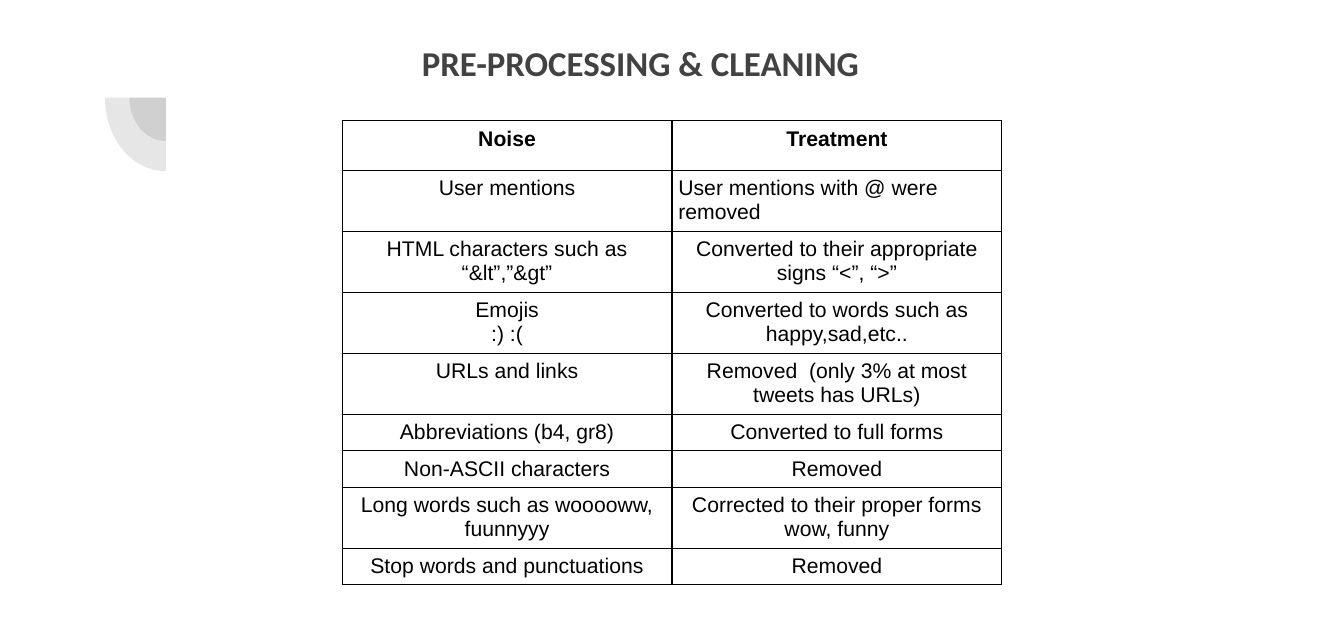
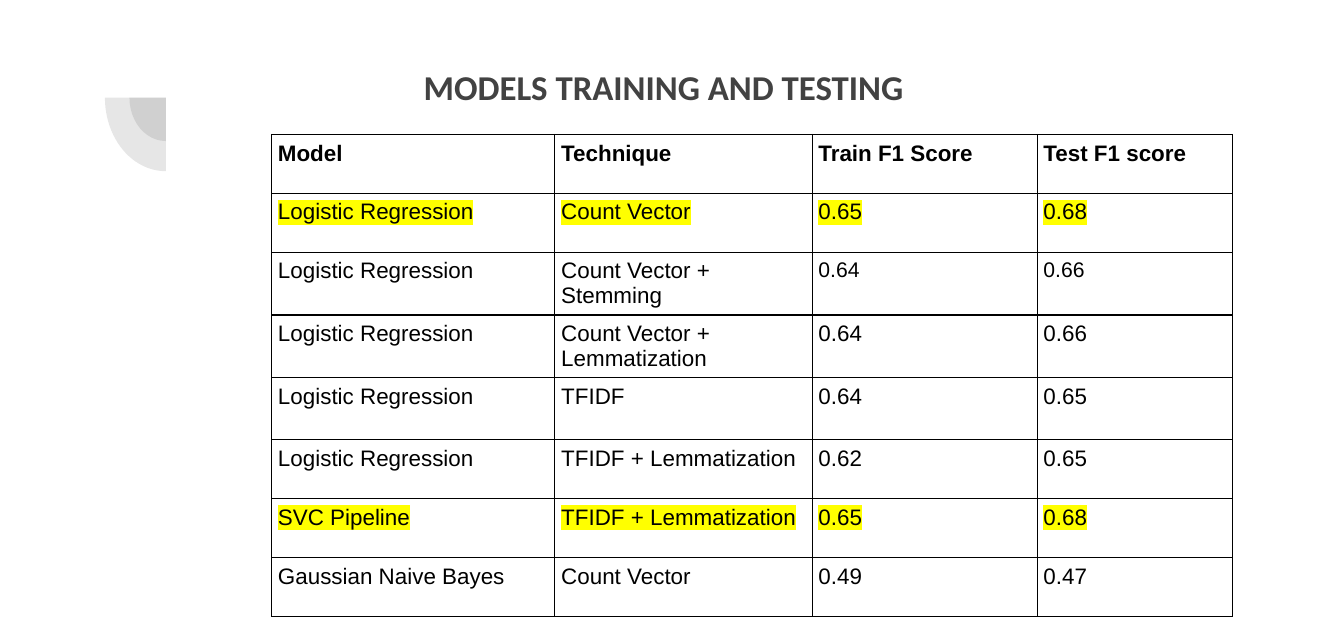
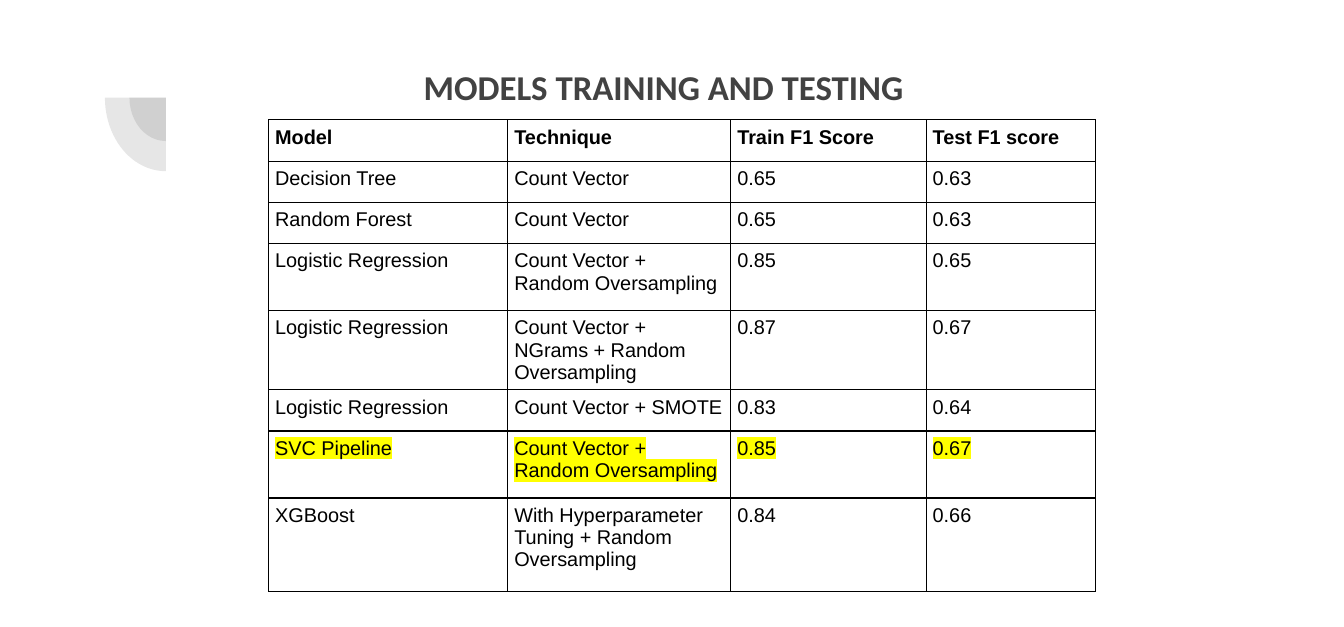
"""Build three slides on tweet cleaning and model scores."""
from lxml.etree import SubElement
from pptx import Presentation
from pptx.dml.color import RGBColor
from pptx.enum.shapes import MSO_SHAPE as Preset
from pptx.enum.text import MSO_ANCHOR as Anchor, MSO_AUTO_SIZE as AutoSize, PP_ALIGN as Align
from pptx.oxml.ns import qn
from pptx.util import Cm, Pt

GREY = RGBColor(0x42, 0x42, 0x42)
BLACK = RGBColor(0x00, 0x00, 0x00)
YELLOW = RGBColor(0xFF, 0xFF, 0x00)
INSET = Cm(0.18)
TITLE_FRAME = {
    "word_wrap": True, "auto_size": AutoSize.NONE, "vertical_anchor": Anchor.TOP,
    "margin_left": Cm(0.25), "margin_right": Cm(0.25),
    "margin_top": Cm(0.25), "margin_bottom": Cm(0.25),
}
TITLE_FONT = {"name": "Calibri", "size": Pt(28), "bold": True}
CELL_FORMAT = {
    "margin_left": INSET, "margin_right": INSET, "margin_top": INSET,
    "margin_bottom": INSET, "vertical_anchor": Anchor.TOP,
}
TABLE_FORMAT = {"first_row": False, "horz_banding": False}
SCORE_HEADER = ("Model", "Technique", "Train F1 Score", "Test F1 score")
SCORE_TITLE = ("MODELS TRAINING AND TESTING", (11.76, 1.6, 16.18, 1.8))

PAGES = [
    {
        "title": ("PRE-PROCESSING & CLEANING", (11.71, 0.94, 15.29, 2.06)),
        "corner": (9.7, 3.43),
        "columns": (9.35, 9.35),
        "heights": (1.4, 1.73, 1.73, 1.73, 1.73, 1.02, 1.02, 1.73, 1.02),
        "size": 17,
        "align": Align.CENTER,
        "left_cells": {(1, 1)},
        "rows": [
            ("Noise", "Treatment"),
            ("User mentions", "User mentions with @ were removed"),
            ("HTML characters such as “&lt”,”&gt”",
             "Converted to their appropriate signs “<”, “>”"),
            ("Emojis\n:) :(", "Converted to words such as happy,sad,etc.."),
            ("URLs and links", "Removed  (only 3% at most tweets has URLs)"),
            ("Abbreviations (b4, gr8)", "Converted to full forms"),
            ("Non-ASCII characters", "Removed"),
            ("Long words such as wooooww, fuunnyyy",
             "Corrected to their proper forms\nwow, funny"),
            ("Stop words and punctuations", "Removed"),
        ],
    },
    {
        "title": SCORE_TITLE,
        "corner": (7.7, 3.81),
        "columns": (8.03, 7.29, 6.38, 5.54),
        "heights": (1.67, 1.67, 1.67, 1.67, 1.75, 1.67, 1.67, 1.67),
        "size": 18,
        "small_cells": {(2, 2), (2, 3)},
        "marked_rows": {1, 6},
        "rows": [
            SCORE_HEADER,
            ("Logistic Regression", "Count Vector", "0.65", "0.68"),
            ("Logistic Regression", "Count Vector + Stemming", "0.64", "0.66"),
            ("Logistic Regression", "Count Vector + Lemmatization", "0.64", "0.66"),
            ("Logistic Regression", "TFIDF", "0.64", "0.65"),
            ("Logistic Regression", "TFIDF + Lemmatization", "0.62", "0.65"),
            ("SVC Pipeline", "TFIDF + Lemmatization", "0.65", "0.68"),
            ("Gaussian Naive Bayes", "Count Vector", "0.49", "0.47"),
        ],
    },
    {
        "title": SCORE_TITLE,
        "corner": (7.62, 3.4),
        "columns": (6.78, 6.32, 5.54, 4.8),
        "heights": (1.17, 1.17, 1.17, 1.9, 1.9, 1.17, 1.9, 2.64),
        "size": 16,
        "marked_rows": {6},
        "rows": [
            SCORE_HEADER,
            ("Decision Tree", "Count Vector", "0.65", "0.63"),
            ("Random Forest", "Count Vector", "0.65", "0.63"),
            ("Logistic Regression", "Count Vector + Random Oversampling", "0.85", "0.65"),
            ("Logistic Regression", "Count Vector + NGrams + Random Oversampling",
             "0.87", "0.67"),
            ("Logistic Regression", "Count Vector + SMOTE", "0.83", "0.64"),
            ("SVC Pipeline", "Count Vector + Random Oversampling", "0.85", "0.67"),
            ("XGBoost", "With Hyperparameter Tuning + Random Oversampling",
             "0.84", "0.66"),
        ],
    },
]


def apply(target, values):
    for name, value in values.items():
        setattr(target, name, value)


def add_fill(parent, color):
    fill = SubElement(parent, qn("a:solidFill"))
    return SubElement(fill, qn("a:srgbClr"), val=str(color))


deck = Presentation()
apply(deck, {"slide_width": Cm(38.1), "slide_height": Cm(17.78)})
layout = deck.slide_layouts[5]
for holder in list(layout.placeholders)[1:]:
    layout.shapes.element.remove(holder.element)

pages = [deck.slides.add_slide(layout) for _ in PAGES]

pies = []
for width, height in ((2.06, 2.46), (3.45, 4.17)):
    pie = pages[0].shapes.add_shape(
        Preset.PIE, Cm(4.7 - width / 2), Cm(2.77 - height / 2), Cm(width), Cm(height))
    pie.adjustments[0], pie.adjustments[1] = 54, 108
    pie.shadow.inherit = False
    pie.line.fill.background()
    pie.fill.solid()
    pie.fill.fore_color.rgb = GREY
    tint = pie.element.spPr.find(qn("a:solidFill"))[0]
    SubElement(tint, qn("a:alpha"), val="13000")
    pies.append(pie)
for pie in pies:
    layout.shapes.element.append(pie.element)

for page, content in zip(pages, PAGES):
    wording, place = content["title"]
    title = page.shapes.title
    apply(title, dict(zip(("left", "top", "width", "height"), map(Cm, place))))
    apply(title.text_frame, TITLE_FRAME)
    para = title.text_frame.paragraphs[0]
    para.alignment = Align.LEFT
    span = para.add_run()
    span.text = wording
    apply(span.font, TITLE_FONT)
    span.font.color.rgb = GREY

    rows, columns, heights = content["rows"], content["columns"], content["heights"]
    left, top = map(Cm, content["corner"])
    table = page.shapes.add_table(
        len(rows), len(columns), left, top, Cm(sum(columns)), Cm(sum(heights))).table
    apply(table, TABLE_FORMAT)
    for column, width in zip(table.columns, columns):
        column.width = Cm(width)
    for row, height in zip(table.rows, heights):
        row.height = Cm(height)

    for r, texts in enumerate(rows):
        for c, text in enumerate(texts):
            cell = table.cell(r, c)
            cell.text = text
            apply(cell, CELL_FORMAT)
            for side in ("lnL", "lnR", "lnT", "lnB"):
                border = SubElement(cell._tc.tcPr, qn("a:" + side), w=str(Pt(1)))
                add_fill(border, BLACK)
            cell.fill.background()
            align = content.get("align", Align.LEFT)
            if (r, c) in content.get("left_cells", ()):
                align = Align.LEFT
            size = 17 if (r, c) in content.get("small_cells", ()) else content["size"]
            for para in cell.text_frame.paragraphs:
                para.alignment = align
                for span in para.runs:
                    apply(span.font, {"size": Pt(size), "bold": r == 0})
                    span.font.color.rgb = BLACK
                    if r in content.get("marked_rows", ()):
                        mark = SubElement(span.font._element, qn("a:highlight"))
                        SubElement(mark, qn("a:srgbClr"), val=str(YELLOW))
                    span.font.name = "Arial"

deck.save("out.pptx")
